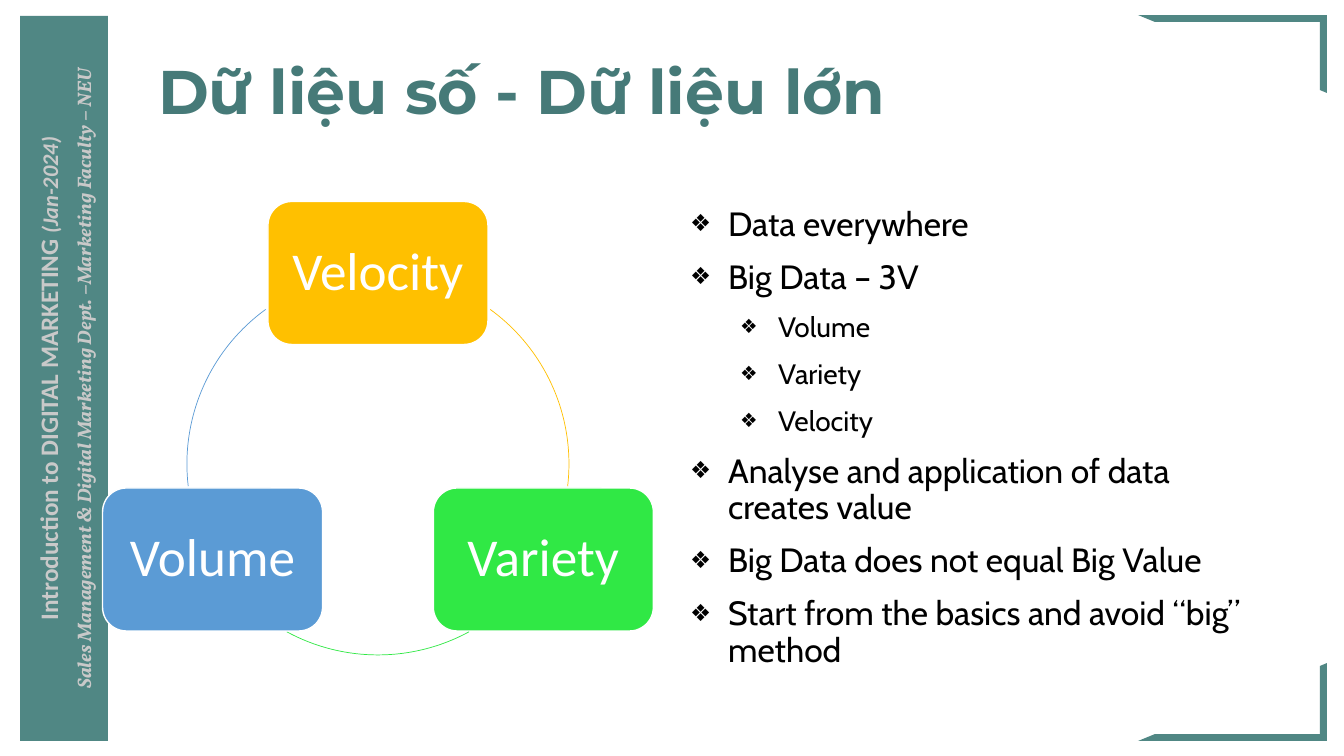
from math import cos, radians, sin

from lxml.etree import SubElement
from pptx import Presentation
from pptx.dml.color import RGBColor
from pptx.enum.shapes import MSO_SHAPE
from pptx.enum.text import MSO_ANCHOR, MSO_AUTO_SIZE, PP_ALIGN
from pptx.oxml.ns import qn
from pptx.util import Pt

TEAL = RGBColor(0x50, 0x87, 0x84)
TITLE_TEAL = RGBColor(0x46, 0x7A, 0x78)
SILVER = RGBColor(0xC9, 0xC9, 0xC9)
BLACK = RGBColor(0, 0, 0)
WHITE = RGBColor(0xFF, 0xFF, 0xFF)
AMBER = RGBColor(0xFF, 0xC0, 0x00)
GREEN = RGBColor(0x30, 0xE8, 0x45)
BLUE = RGBColor(0x5B, 0x9B, 0xD5)

TITLE = "Dữ liệu số - Dữ liệu lớn"
COURSE, COURSE_DATE = "Introduction to DIGITAL MARKETING ", "(Jan-2024)"
DEPARTMENT = "Sales Management & Digital Marketing Dept. –Marketing Faculty – NEU"
BULLETS = [  # level, text
    (0, "Data everywhere"),
    (0, "Big Data – 3V"),
    (1, "Volume"),
    (1, "Variety"),
    (1, "Velocity"),
    (0, "Analyse and application of data creates value"),
    (0, "Big Data does not equal Big Value"),
    (0, "Start from the basics and avoid “big” method"),
]
BULLET_SIZES = (24, 20)
BULLET_INDENTS = (38, 88)
HANGING = 38
CYCLE = [  # word, colour, angle of the box, start and end angle of the arc after it
    ("Velocity", AMBER, 270, 306, 6.7),
    ("Variety", GREEN, 30, 61.5, 118.5),
    ("Volume", BLUE, 150, 173.3, 234),
]
CYCLE_X, CYCLE_Y, CYCLE_RADIUS = 378, 464, 191
NODE_WIDTH, NODE_HEIGHT = 220, 143
CORNERS = [(15, 0, True), (663, 180, False)]  # top, rotation, flipped


def px(length):
    return round(length * 914400 / 100.8)


def place(shape, left, top, width, height):
    shape.left, shape.top = px(left), px(top)
    shape.width, shape.height = px(width), px(height)


def add_shape(kind, left, top, width, height, fill=None, line=None, line_width=1):
    shape = page.shapes.add_shape(kind, px(left), px(top), px(width), px(height))
    shape.shadow.inherit = False
    if fill is None:
        shape.fill.background()
    else:
        shape.fill.solid()
        shape.fill.fore_color.rgb = fill
    if line is None:
        shape.line.fill.background()
    else:
        shape.line.color.rgb = line
        shape.line.width = Pt(line_width)
    return shape


def add_text(para, text, *, font, size, color, bold=False, italic=False,
             align=PP_ALIGN.LEFT, spacing=None, before=0, after=0):
    para.alignment, para.line_spacing = align, spacing
    para.space_before, para.space_after = Pt(before), Pt(after)
    span = para.add_run()
    span.text = text
    span.font.name, span.font.size = font, Pt(size)
    span.font.bold, span.font.italic = bold, italic
    span.font.color.rgb = color


def add_bullet(para, level):
    para.level = level
    properties = para._p.get_or_add_pPr()
    properties.set("marL", str(px(BULLET_INDENTS[level])))
    properties.set("indent", str(px(-HANGING)))
    SubElement(properties, qn("a:buSzPct"), val="70000")
    SubElement(properties, qn("a:buChar"), char="❖")


def add_side_bar():
    frame = add_shape(MSO_SHAPE.RECTANGLE, 20, 16, 88, 725, TEAL).text_frame
    frame.word_wrap = True
    frame.vertical_anchor = MSO_ANCHOR.MIDDLE
    frame._txBody.bodyPr.set("vert", "vert270")
    style = dict(color=SILVER, bold=True, align=PP_ALIGN.CENTER, before=6)
    course = frame.paragraphs[0]
    add_text(course, COURSE, font="Calibri", size=18, **style)
    add_text(course, COURSE_DATE, font="Calibri", size=16, italic=True, **style)
    add_text(frame.add_paragraph(), DEPARTMENT, font="Vollkorn", size=14,
             italic=True, **style)


def add_corners():
    for top, rotation, flipped in CORNERS:
        corner = add_shape(MSO_SHAPE.HALF_FRAME, 1138, top, 189, 78, TEAL)
        corner.adjustments[0], corner.adjustments[1] = 0.09, 0.093
        corner.rotation = rotation
        if flipped:
            corner._element.spPr.find(qn("a:xfrm")).set("flipH", "1")


def fill_placeholders():
    title, body = page.placeholders
    place(title, 148, 37, 1159, 116)
    place(body, 680, 202, 572, 480)
    for holder, anchor in ((title, MSO_ANCHOR.MIDDLE), (body, MSO_ANCHOR.TOP)):
        holder.text_frame.auto_size = MSO_AUTO_SIZE.NONE
        holder.text_frame.word_wrap = True
        holder.text_frame.vertical_anchor = anchor
    add_text(title.text_frame.paragraphs[0], TITLE, font="Montserrat", size=44,
             color=TITLE_TEAL, bold=True, spacing=0.9)
    frame = body.text_frame
    for index, (level, text) in enumerate(BULLETS):
        para = frame.add_paragraph() if index else frame.paragraphs[0]
        add_text(para, text, font="Cabin", size=BULLET_SIZES[level], color=BLACK,
                 spacing=0.9, before=6, after=6)
        add_bullet(para, level)


def add_cycle():
    for word, color, angle, start, end in CYCLE:
        center_x = CYCLE_X + CYCLE_RADIUS * cos(radians(angle))
        center_y = CYCLE_Y + CYCLE_RADIUS * sin(radians(angle))
        node = add_shape(MSO_SHAPE.ROUNDED_RECTANGLE, center_x - NODE_WIDTH / 2,
                         center_y - NODE_HEIGHT / 2, NODE_WIDTH, NODE_HEIGHT,
                         color, WHITE)
        node.text_frame.word_wrap = True
        node.text_frame.vertical_anchor = MSO_ANCHOR.MIDDLE
        add_text(node.text_frame.paragraphs[0], word, font="Calibri", size=38,
                 color=WHITE, align=PP_ALIGN.CENTER, spacing=0.9)
        arc = add_shape(MSO_SHAPE.ARC, CYCLE_X - CYCLE_RADIUS, CYCLE_Y - CYCLE_RADIUS,
                        2 * CYCLE_RADIUS, 2 * CYCLE_RADIUS, line=color, line_width=0.5)
        # Arc angles are stored in 60000ths of a degree, adjustments in 100000ths
        arc.adjustments[0], arc.adjustments[1] = start * 0.6, end * 0.6


deck = Presentation()
deck.slide_width, deck.slide_height = px(1344), px(756)
page = deck.slides.add_slide(deck.slide_layouts[1])
add_side_bar()
add_corners()
fill_placeholders()
add_cycle()
deck.save("out.pptx")
